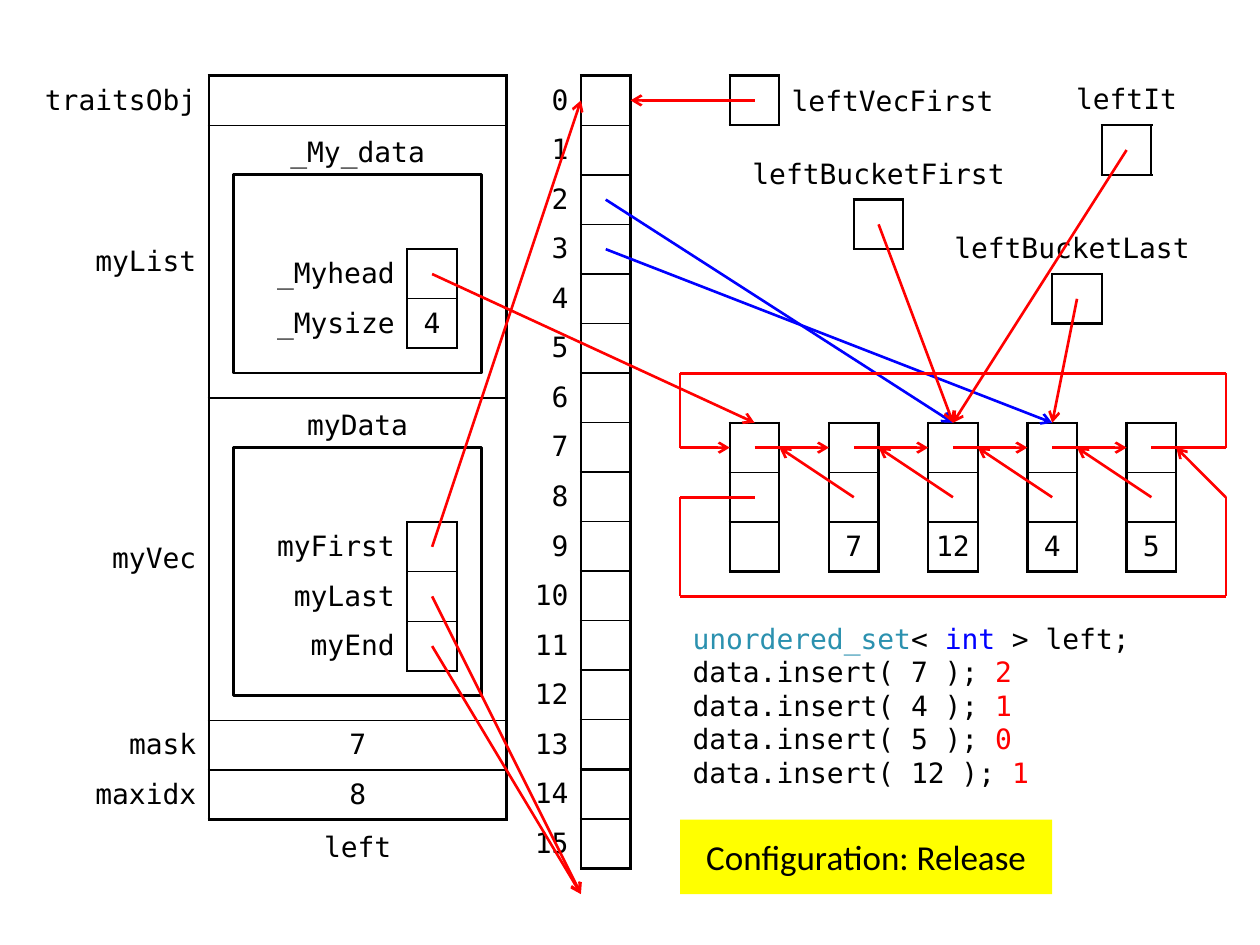
"""Build a slide showing the memory layout of an unordered_set in release mode."""
from itertools import pairwise

from lxml import etree
from pptx import Presentation
from pptx.dml.color import RGBColor
from pptx.enum.shapes import MSO_CONNECTOR, MSO_SHAPE
from pptx.enum.text import MSO_ANCHOR, PP_ALIGN
from pptx.oxml import parse_xml
from pptx.oxml.ns import nsdecls, qn
from pptx.util import Inches, Pt

BLACK = RGBColor(0x00, 0x00, 0x00)
WHITE = RGBColor(0xFF, 0xFF, 0xFF)
RED = RGBColor(0xFF, 0x00, 0x00)
BLUE = RGBColor(0x00, 0x00, 0xFF)
TEAL = RGBColor(0x2B, 0x91, 0xAF)
YELLOW = RGBColor(0xFF, 0xFF, 0x00)
MONO = "DejaVu Sans Mono"
NO_GRID_STYLE = "{2D5ABB26-0587-4C30-8999-92F81FD0307C}"
LEFT, TOP, CELL = 0.28, 0.6, 1 / 2.54


def place(x, y, *size):
    """Turn grid coordinates and sizes into slide lengths."""
    return [Inches(LEFT + x * CELL), Inches(TOP + y * CELL)] + [Inches(n * CELL) for n in size]


def write(paragraph, text, color=BLACK, size=16, font=MONO, align=PP_ALIGN.LEFT):
    """Add one formatted span to a paragraph."""
    paragraph.alignment = align
    span = paragraph.add_run()
    span.text = text
    span.font.name = font
    span.font.size = Pt(size)
    span.font.bold = False
    span.font.color.rgb = color


deck = Presentation()
deck.slide_width, deck.slide_height = Inches(10), Inches(7.5)
page = deck.slides.add_slide(deck.slide_layouts[5])

title = page.shapes.title
title.left, title.top, title.width, title.height = place(13, 15, 7.5, 1.5)
title.fill.solid()
title.fill.fore_color.rgb = YELLOW
title.text_frame.vertical_anchor = MSO_ANCHOR.MIDDLE
write(title.text_frame.paragraphs[0], "Configuration: Release", size=20, font="Calibri",
      align=PP_ALIGN.CENTER)

set_fields = [("traitsObj", ""), ("myList", ""), ("myVec", ""), ("mask", "7"), ("maxidx", "8")]
buckets = [(str(index), "") for index in range(16)]
list_fields = [("_Myhead", ""), ("_Mysize", "4")]
vector_fields = [("myFirst", ""), ("myLast", ""), ("myEnd", "")]
tables = [
    (0, 0, [3.5, 6], [1, 5.5, 6.5, 1, 1], set_fields, 5),
    (9.5, 0, [1.5, 1], [1] * 16, buckets, 2),
    (4, 3.5, [3.5, 1], [1] * 2, list_fields, 2),
    (4.5, 9, [3, 1], [1] * 3, vector_fields, 3),
]
for index, value in enumerate(["", "7", "12", "4", "5"]):
    tables.append((14 + 2 * index, 7, [1], [1] * 3, [("",), ("",), (value,)], 3))
for x, y in [(14, 0), (16.5, 2.5), (20.5, 4), (21.5, 1)]:
    tables.append((x, y, [1], [1], [("",)], 1))

for number, (x, y, widths, heights, rows, group) in enumerate(tables):
    if number == 2:
        for frame_y, frame_height in [(7.5, 5), (2, 4)]:
            frame = page.shapes.add_shape(MSO_SHAPE.RECTANGLE, *place(4, frame_y, 5, frame_height))
            frame.shadow.inherit = False
            frame.fill.solid()
            frame.fill.fore_color.rgb = WHITE
            frame.line.color.rgb = BLACK
            frame.line.width = Pt(1.5)
    table = page.shapes.add_table(len(rows), len(widths),
                                  *place(x, y, sum(widths), sum(heights))).table
    table.first_row = table.horz_banding = False
    table._tbl.tblPr.find(qn("a:tableStyleId")).text = NO_GRID_STYLE
    for column, width in zip(table.columns, widths):
        column.width = Inches(width * CELL)
    for row_index, (texts, height) in enumerate(zip(rows, heights)):
        table.rows[row_index].height = Inches(height * CELL)
        for column_index, text in enumerate(texts):
            cell = table.cell(row_index, column_index)
            boxed = column_index == len(widths) - 1
            cell.vertical_anchor = MSO_ANCHOR.MIDDLE
            cell.margin_top = cell.margin_bottom = Inches(0.04)
            cell.margin_left = Inches(0 if boxed else 0.04)
            cell.margin_right = Inches(0 if boxed else 0.1)
            if boxed:
                top = 1.5 if row_index % group == 0 else 0.75
                bottom = 1.5 if (row_index + 1) % group == 0 else 0.75
                for side, weight in [("L", 1.5), ("R", 1.5), ("T", top), ("B", bottom)]:
                    cell._tc.get_or_add_tcPr().append(parse_xml(
                        f'<a:ln{side} {nsdecls("a")} w="{Pt(weight)}"><a:solidFill>'
                        f'<a:srgbClr val="{BLACK}"/></a:solidFill></a:ln{side}>'))
            cell.fill.background()
            if text:
                write(cell.text_frame.paragraphs[0], text,
                      align=PP_ALIGN.CENTER if boxed else PP_ALIGN.RIGHT)

labels = [
    ("leftVecFirst", 15, 0, 5, PP_ALIGN.LEFT, MSO_ANCHOR.MIDDLE),
    ("left", 5.5, 15, 2, PP_ALIGN.CENTER, MSO_ANCHOR.BOTTOM),
    ("myData", 5, 6.5, 3, PP_ALIGN.CENTER, MSO_ANCHOR.BOTTOM),
    ("_My_data", 4.5, 1, 4, PP_ALIGN.CENTER, MSO_ANCHOR.BOTTOM),
    ("leftBucketFirst", 14, 1.5, 6, PP_ALIGN.CENTER, MSO_ANCHOR.TOP),
    ("leftBucketLast", 17.9, 3, 6, PP_ALIGN.CENTER, MSO_ANCHOR.TOP),
    ("leftIt", 20.5, 0, 3, PP_ALIGN.CENTER, MSO_ANCHOR.TOP),
]
for text, x, y, width, align, anchor in labels:
    box = page.shapes.add_textbox(*place(x, y, width, 1))
    box.text_frame.word_wrap = True
    box.text_frame.vertical_anchor = anchor
    write(box.text_frame.paragraphs[0], text, align=align)

code = [[("unordered_set", TEAL), ("< ", BLACK), ("int", BLUE), (" > left;", BLACK)]]
for value, bucket in [(7, 2), (4, 1), (5, 0), (12, 1)]:
    code.append([(f"data.insert( {value} ); ", BLACK), (str(bucket), RED)])
code_frame = page.shapes.add_textbox(*place(13, 11, 9.5, 3.5)).text_frame
code_frame.word_wrap = True
code_frame.margin_top = code_frame.margin_bottom = 0
for index, spans in enumerate(code):
    paragraph = code_frame.add_paragraph() if index else code_frame.paragraphs[0]
    for text, color in spans:
        write(paragraph, text, color=color)

arrows = [
    (BLUE, [(11.5, 2.5), (18.5, 7)]),
    (BLUE, [(11.5, 3.5), (20.5, 7)]),
    (RED, [(22.5, 7.5), (24, 7.5), (24, 6), (13, 6), (13, 7.5), (14, 7.5)]),
    (RED, [(14.5, 8.5), (13, 8.5), (13, 10.5), (24, 10.5), (24, 8.5), (23, 7.5)]),
    (RED, [(14.5, 0.5), (12, 0.5)]),
    (RED, [(8, 4), (14.5, 7)]),
    (RED, [(8, 9.5), (11, 0.5)]),
    (RED, [(8, 10.5), (11, 16.5)]),
    (RED, [(8, 11.5), (11, 16.5)]),
    (RED, [(21, 4.5), (20.5, 7)]),
    (RED, [(17, 3), (18.5, 7)]),
    (RED, [(22, 1.5), (18.5, 7)]),
]
for x in range(14, 22, 2):
    arrows.append((RED, [(x + 0.5, 7.5), (x + 2, 7.5)]))
    arrows.append((RED, [(x + 2.5, 8.5), (x + 1, 7.5)]))
for color, points in arrows:
    for start, end in pairwise(points):
        line = page.shapes.add_connector(MSO_CONNECTOR.STRAIGHT, *place(*start), *place(*end))
        line.line.color.rgb = color
        line.line.width = Pt(1.5)
        etree.SubElement(line._element.spPr, qn("a:effectLst"))
    etree.SubElement(line.line._get_or_add_ln(), qn("a:tailEnd"), type="arrow")

deck.save("out.pptx")
